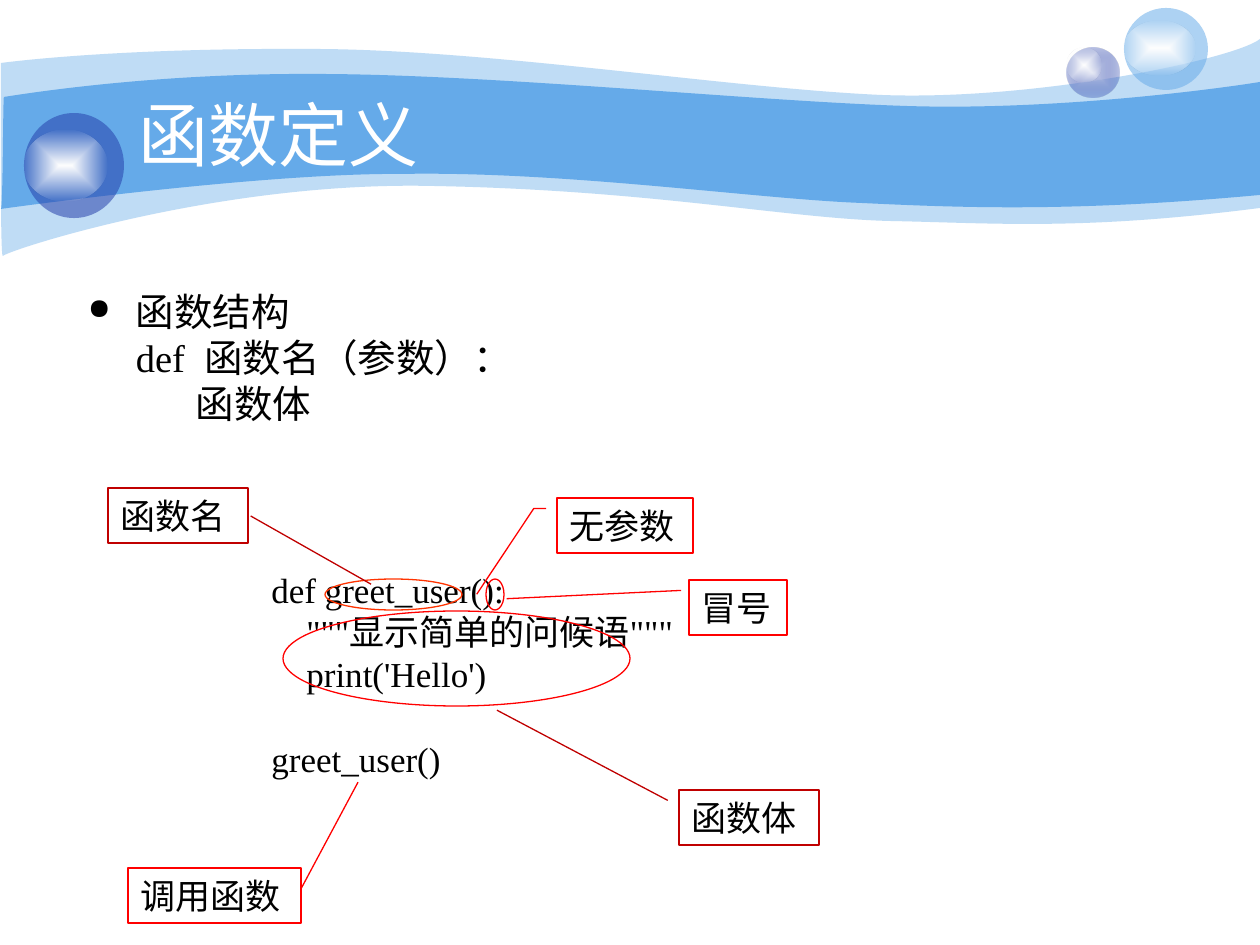
from pptx import Presentation
from pptx.dml.color import RGBColor
from pptx.enum.shapes import MSO_SHAPE as SHAPE
from pptx.enum.text import MSO_ANCHOR as ANCHOR, PP_ALIGN as ALIGN
from pptx.oxml import parse_xml
from pptx.oxml.ns import nsdecls, qn
from pptx.util import Emu, Pt

COLORS = {"sky": "65AAE9", "navy": "233DA9", "mist": "C7CEE9", "white": "FFFFFF",
          "black": "000000", "red": "FF0000", "dark_red": "C00000", "orange": "FF3300"}
FONT = "Times New Roman"
SCALE = 914400 / 126


def px(n):
    return Emu(round(n * SCALE))


def rgb(name):
    return RGBColor.from_string(COLORS[name])


def color_xml(name, alpha):
    return f'<a:srgbClr val="{COLORS[name]}"><a:alpha val="{alpha * 1000}"/></a:srgbClr>'


def paint(sp, xml):
    sp.shadow.inherit = False
    sp.line.fill.background()
    sp.fill.solid()
    old = sp._element.spPr.find(qn("a:solidFill"))
    old.getparent().replace(old, parse_xml(xml))


def paint_solid(sp, name, alpha):
    paint(sp, f'<a:solidFill {nsdecls("a")}>{color_xml(name, alpha)}</a:solidFill>')


def paint_glow(sp, inner, outer, alpha):
    paint(sp, f'<a:gradFill {nsdecls("a")} rotWithShape="1"><a:gsLst>'
              f'<a:gs pos="0">{color_xml(inner, 100)}</a:gs>'
              f'<a:gs pos="100000">{color_xml(outer, alpha)}</a:gs></a:gsLst>'
              '<a:path path="shape"><a:fillToRect l="50000" t="50000" r="50000" b="50000"/>'
              '</a:path></a:gradFill>')


def curve_segments(segments):
    for first, second, third in zip(*[iter(segments)] * 3):
        curve = parse_xml(f'<a:cubicBezTo {nsdecls("a")}/>')
        first.addprevious(curve)
        for segment in (first, second, third):
            curve.append(segment[0])
            segment.getparent().remove(segment)


def add_wave(s, left, top, start, upper, corner, lower, alpha):
    points = [(px(left + x), px(top + y)) for x, y in [start, *upper, corner, *lower]]
    builder = s.shapes.build_freeform(*points[0], scale=1.0)
    builder.add_line_segments(points[1:], close=True)
    sp = builder.convert_to_shape()
    segments = list(sp._element.iter(qn("a:lnTo")))
    curve_segments(segments[:len(upper)])
    curve_segments(segments[len(upper) + 1:len(upper) + 1 + len(lower)])
    paint_solid(sp, "sky", alpha)


def add_ellipse(s, x, y, w, h):
    return s.shapes.add_shape(SHAPE.OVAL, px(x), px(y), px(w), px(h))


def add_orb(s, x, y, w, h, shine, name, alpha, inner=None):
    ball = add_ellipse(s, x, y, w, h)
    if inner:
        paint_glow(ball, inner, name, alpha)
    else:
        paint_solid(ball, name, alpha)
    dy, sw, sh = shine
    paint_glow(add_ellipse(s, x, y + dy, sw, sh), "white", "white", 0)


def add_banner(s, x, y):
    add_wave(s, x, y, (1, 63),
             [(32, 59), (137, 48), (311, 49), (486, 49), (726, 88), (881, 95),
              (1036, 101), (1235, 59), (1260, 39)], (1260, 208),
             [(1081, 231), (993, 223), (888, 221), (784, 218), (650, 190), (433, 186),
              (218, 181), (6, 251), (3, 256), (0, 262), (1, 95), (1, 63)], 41)
    add_wave(s, x, y, (4, 97),
             [(6, 97), (141, 73), (315, 74), (489, 74), (751, 101), (906, 106),
              (1061, 111), (1230, 87), (1260, 82)], (1260, 195),
             [(1075, 212), (965, 208), (861, 203), (756, 199), (564, 171), (402, 174),
              (258, 173), (0, 209), (1, 209), (3, 209), (3, 97), (4, 97)], 100)
    add_orb(s, x + 1067, y + 48, 53, 50, (0, 35, 34), "navy", 31, inner="mist")
    add_orb(s, x + 1124, y + 8, 84, 82, (13, 71, 54), "sky", 53)
    add_orb(s, x + 24, y + 113, 100, 105, (17, 83, 71), "navy", 53)


def style(p, size, name="black"):
    p.alignment = ALIGN.LEFT
    for r in p.runs:
        r.font.name, r.font.size = FONT, Pt(size)
        r.font.color.rgb = rgb(name)


def place_title(s, x, y, w, h):
    title = s.shapes.title
    title.left, title.top, title.width, title.height = px(x), px(y), px(w), px(h)
    tf = title.text_frame
    tf.text = "函数定义"
    tf.vertical_anchor = ANCHOR.MIDDLE
    style(tf.paragraphs[0], 40, "white")
    title._element.getparent().append(title._element)


def add_lines(s, x, y, w, h, lines, size, pitch):
    tf = s.shapes.add_textbox(px(x), px(y), px(w), px(h)).text_frame
    tf.word_wrap = True
    tf.text = "\n".join(lines)
    for p in tf.paragraphs:
        p.line_spacing = px(pitch)
        style(p, size)
    return tf


def add_structure(s, x, y, w, h):
    lines = ["函数结构", "def  函数名（参数）：", "函数体"]
    tf = add_lines(s, x, y, w, h, lines, 22, 46)
    tf.margin_left, tf.margin_top = px(25), px(52)
    for p, indent in zip(tf.paragraphs, (48, 48, 108)):
        p._p.get_or_add_pPr().set("marL", str(px(indent)))
    pPr = tf.paragraphs[0]._p.pPr
    pPr.set("indent", str(px(-48)))
    pPr.append(parse_xml(f'<a:buSzPct {nsdecls("a")} val="75000"/>'))
    pPr.append(parse_xml(f'<a:buChar {nsdecls("a")} char="●"/>'))


def outline(sp, name):
    sp.shadow.inherit = False
    sp.fill.background()
    sp.line.color.rgb = rgb(name)
    sp.line.width = Pt(0.75)


def add_code(s, x, y, w, h):
    code = ["def greet_user():", '    """显示简单的问候语"""', "    print('Hello')", "greet_user()"]
    tf = add_lines(s, x, y, w, h, code, 20, 42)
    tf.paragraphs[-1].space_before = px(43)
    for dx, dy, ew, eh, name in [(66, 17, 137, 31, "orange"), (227, 17, 18, 31, "red"),
                                 (24, 49, 347, 95, "red")]:
        outline(add_ellipse(s, x + dx, y + dy, ew, eh), name)


def add_callout(s, x, y, w, text, name, leader):
    kind = SHAPE.LINE_CALLOUT_1 if len(leader) == 4 else SHAPE.LINE_CALLOUT_2
    sp = s.shapes.add_shape(kind, px(x), px(y), px(w), px(55))
    for i, value in enumerate(leader):
        sp.adjustments[i] = value
    outline(sp, name)
    tf = sp.text_frame
    tf.word_wrap = True
    tf.vertical_anchor = ANCHOR.TOP
    tf.text = text
    tf.paragraphs[0].line_spacing = px(42)
    style(tf.paragraphs[0], 20)


def main():
    prs = Presentation()
    prs.slide_width, prs.slide_height = px(1260), px(945)
    s = prs.slides.add_slide(prs.slide_layouts[5])
    add_banner(s, 0, 0)
    place_title(s, 126, 95, 1018, 78)
    add_structure(s, 63, 236, 1134, 678)
    add_code(s, 259, 562, 791, 224)
    for callout in [
        (557, 498, 136, "无参数", "red", (0.19, -0.08, 0.19, -0.17, 1.75, -0.59)),
        (689, 580, 98, "冒号", "red", (0.19, -0.08, 0.34, -1.86)),
        (679, 790, 140, "函数体", "dark_red", (0.19, -0.08, -1.45, -1.3)),
        (128, 868, 173, "调用函数", "red", (0.38, 1, -1.56, 1.33)),
        (108, 488, 140, "函数名", "dark_red", (0.51, 1.02, 1.75, 1.88)),
    ]:
        add_callout(s, *callout)
    prs.save("out.pptx")


if __name__ == "__main__":
    main()
